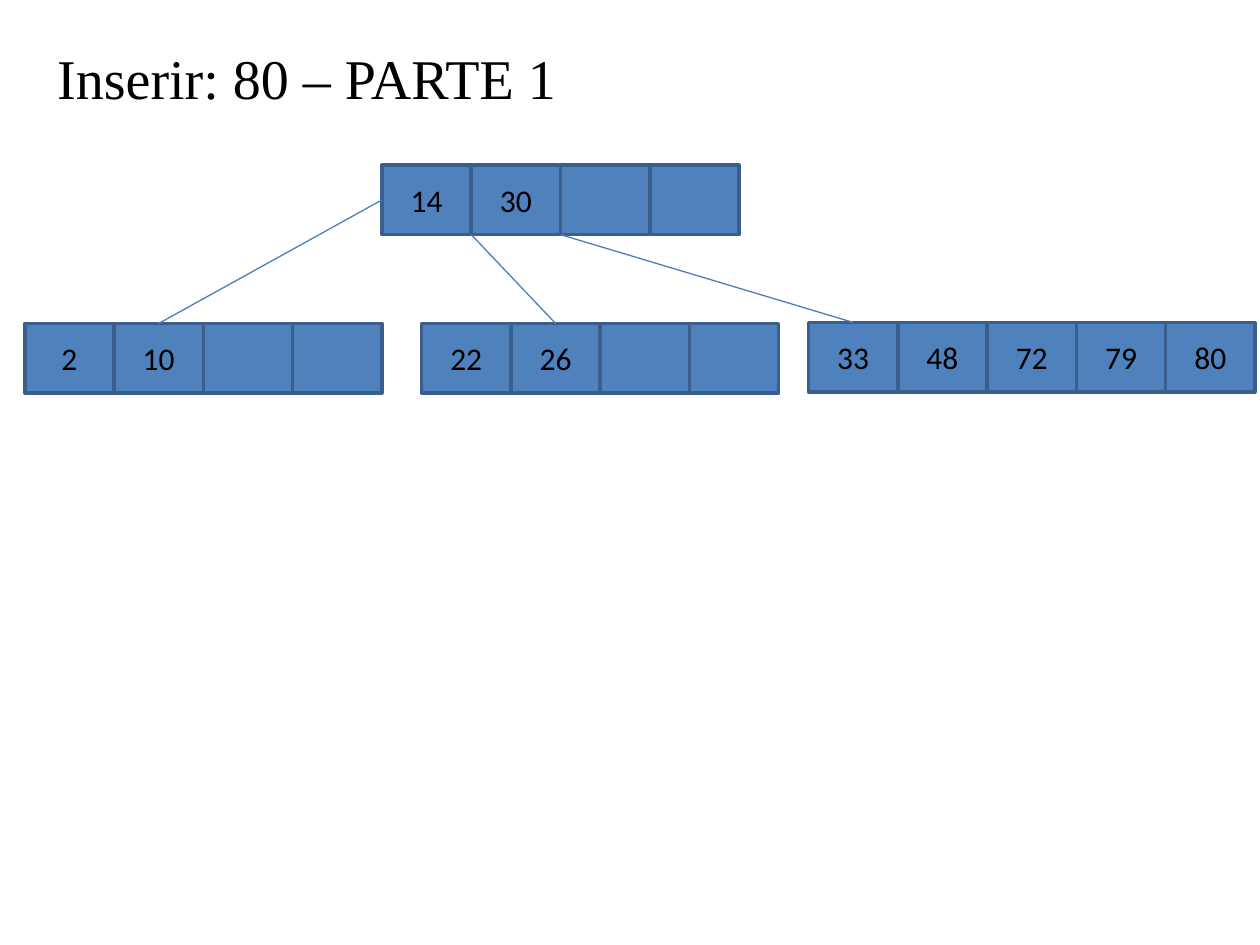
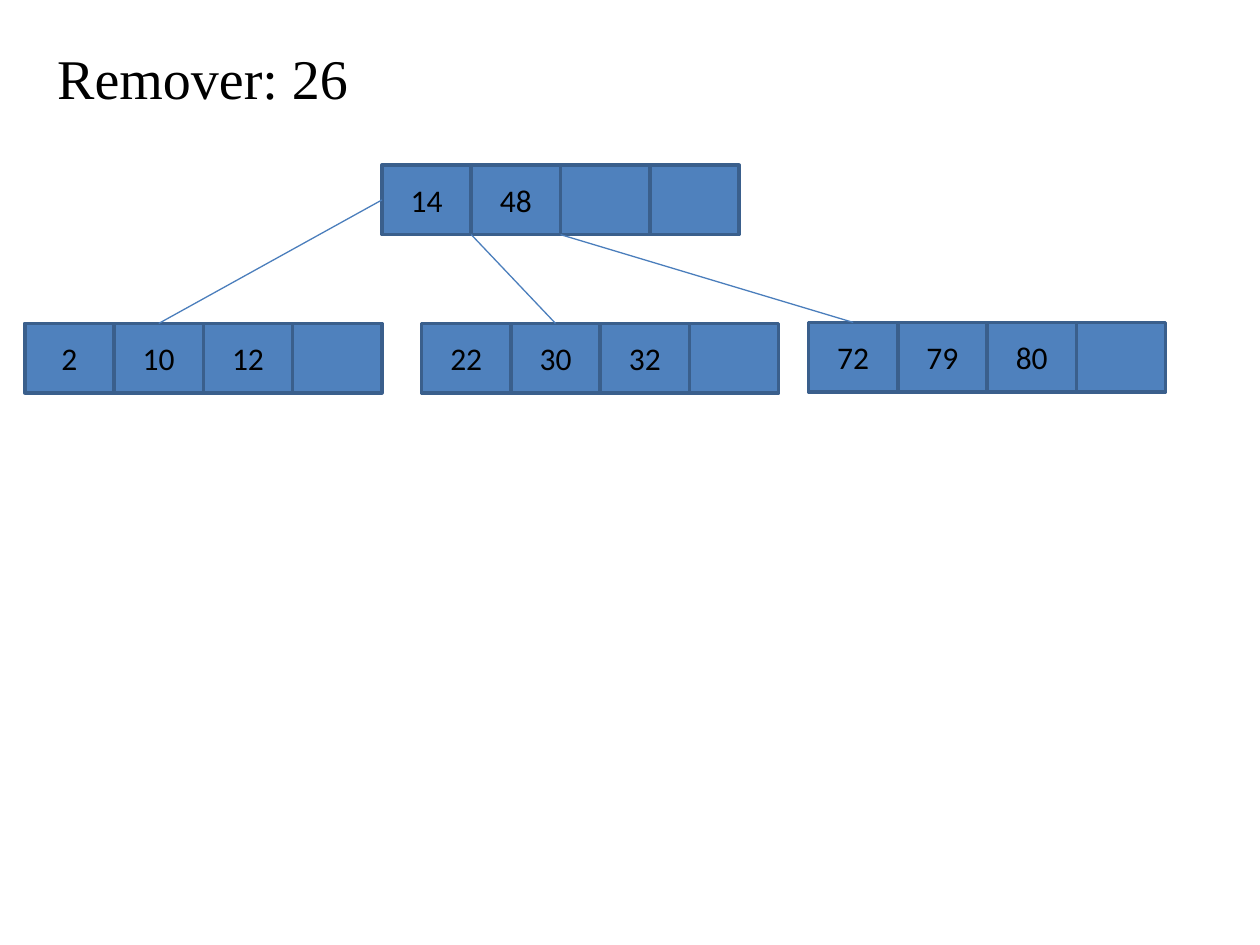
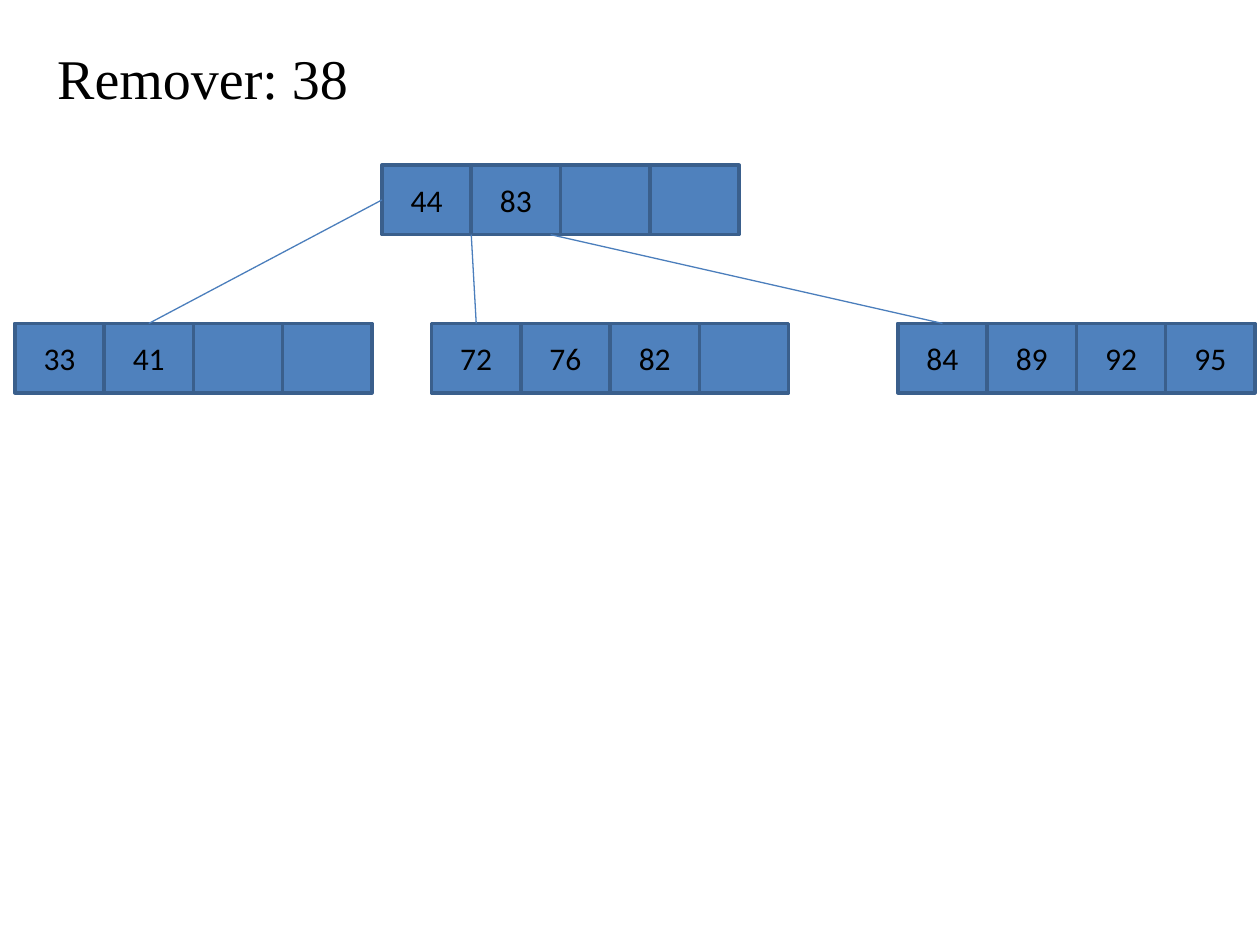
from dataclasses import dataclass

from lxml.etree import SubElement
from pptx import Presentation
from pptx.dml.color import RGBColor
from pptx.enum.shapes import MSO_CONNECTOR, MSO_SHAPE
from pptx.enum.text import MSO_ANCHOR, MSO_AUTO_SIZE, PP_ALIGN
from pptx.oxml.ns import qn
from pptx.util import Cm, Pt

BLACK = RGBColor(0x00, 0x00, 0x00)
CELL_FILL = RGBColor(0x4F, 0x81, 0xBD)
CELL_BORDER = RGBColor(0x3A, 0x5F, 0x8C)
EDGE_COLOR = RGBColor(0x4B, 0x7E, 0xBC)

TITLE_FONT = "Times New Roman"
KEY_FONT = "Calibri"
TITLE_ONLY_LAYOUT = 5

# Lengths in centimetres
CELL_WIDTH, CELL_HEIGHT = 1.8, 1.4
CAPACITY = 4
ROOT_LEFT, ROOT_TOP = 7.7, 3.33
LEAF_TOP = 6.52


@dataclass
class Leaf:
    """A leaf node and the cell at which its edge arrives."""
    left: float
    keys: list
    edge_cell: int
    top: float = LEAF_TOP


@dataclass
class Tree:
    """One step of the B-tree: its title, root keys and leaves."""
    title: str
    root_keys: list
    leaves: list
    last_edge_left: float = ROOT_LEFT + 2 * CELL_WIDTH


TREES = [
    Tree("Inserir: 80 – PARTE 1", [14, 30], [
        Leaf(0.5, [2, 10], 1),
        Leaf(8.5, [22, 26], 1),
        Leaf(16.3, [33, 48, 72, 79, 80], 0, top=6.5),
    ]),
    Tree("Remover: 26", [14, 48], [
        Leaf(0.5, [2, 10, 12], 1),
        Leaf(8.5, [22, 30, 32], 1),
        Leaf(16.3, [72, 79, 80], 0, top=6.5),
    ]),
    Tree("Remover: 38", [44, 83], [
        Leaf(0.3, [33, 41], 1),
        Leaf(8.7, [72, 76, 82], 0),
        Leaf(18.1, [84, 89, 92, 95], 0),
    ], last_edge_left=11.1),
]


def set_title(slide, text):
    """Place and format the slide title."""
    title = slide.shapes.title
    title.left, title.top = Cm(0.9), Cm(0.74)
    title.width, title.height = Cm(15), Cm(2.6)
    frame = title.text_frame
    frame.text = text
    frame.auto_size = MSO_AUTO_SIZE.NONE
    frame.vertical_anchor = MSO_ANCHOR.TOP
    paragraph = frame.paragraphs[0]
    paragraph.alignment = PP_ALIGN.JUSTIFY
    paragraph.space_before = Pt(6.4)
    paragraph.font.name = TITLE_FONT
    paragraph.font.size = Pt(32)
    paragraph.font.color.rgb = BLACK


def add_cell(slide, left, top, key=None):
    """Draw one cell, with its key if it holds one."""
    cell = slide.shapes.add_shape(MSO_SHAPE.RECTANGLE, Cm(left), Cm(top),
                                  Cm(CELL_WIDTH), Cm(CELL_HEIGHT))
    cell.shadow.inherit = False
    cell.fill.solid()
    cell.fill.fore_color.rgb = CELL_FILL
    cell.line.color.rgb = CELL_BORDER
    cell.line.width = Pt(2)
    if key is None:
        return
    frame = cell.text_frame
    frame.text = str(key)
    frame.vertical_anchor = MSO_ANCHOR.MIDDLE
    paragraph = frame.paragraphs[0]
    paragraph.alignment = PP_ALIGN.CENTER
    paragraph.font.name = KEY_FONT
    paragraph.font.size = Pt(18)
    paragraph.font.color.rgb = BLACK


def add_node(slide, left, top, keys):
    """Draw a row of cells, padded with empty ones up to the capacity."""
    cells = keys + [None] * (CAPACITY - len(keys))
    for index, key in enumerate(cells):
        add_cell(slide, left + index * CELL_WIDTH, top, key)


def add_edge(slide, start, end):
    """Draw a thin line between two (left, top) points."""
    edge = slide.shapes.add_connector(MSO_CONNECTOR.STRAIGHT,
                                      *map(Cm, start + end))
    edge.line.color.rgb = EDGE_COLOR
    edge.line.width = Pt(0.75)
    SubElement(edge._element.spPr, qn("a:effectLst"))


def add_tree(slide, tree):
    """Draw the root, its leaves and the edges between them."""
    add_node(slide, ROOT_LEFT, ROOT_TOP, tree.root_keys)
    root_bottom = ROOT_TOP + CELL_HEIGHT
    starts = [
        (ROOT_LEFT, ROOT_TOP + CELL_HEIGHT / 2),
        (ROOT_LEFT + CELL_WIDTH, root_bottom),
        (tree.last_edge_left, root_bottom),
    ]
    for start, leaf in zip(starts, tree.leaves):
        add_node(slide, leaf.left, leaf.top, leaf.keys)
        arrival = leaf.left + (leaf.edge_cell + 0.5) * CELL_WIDTH
        add_edge(slide, start, (arrival, leaf.top))


def main():
    """Build one slide for each tree."""
    presentation = Presentation()
    presentation.slide_width, presentation.slide_height = Cm(25.4), Cm(19.05)
    layout = presentation.slide_layouts[TITLE_ONLY_LAYOUT]
    for tree in TREES:
        slide = presentation.slides.add_slide(layout)
        set_title(slide, tree.title)
        add_tree(slide, tree)
    presentation.save("out.pptx")


main()
